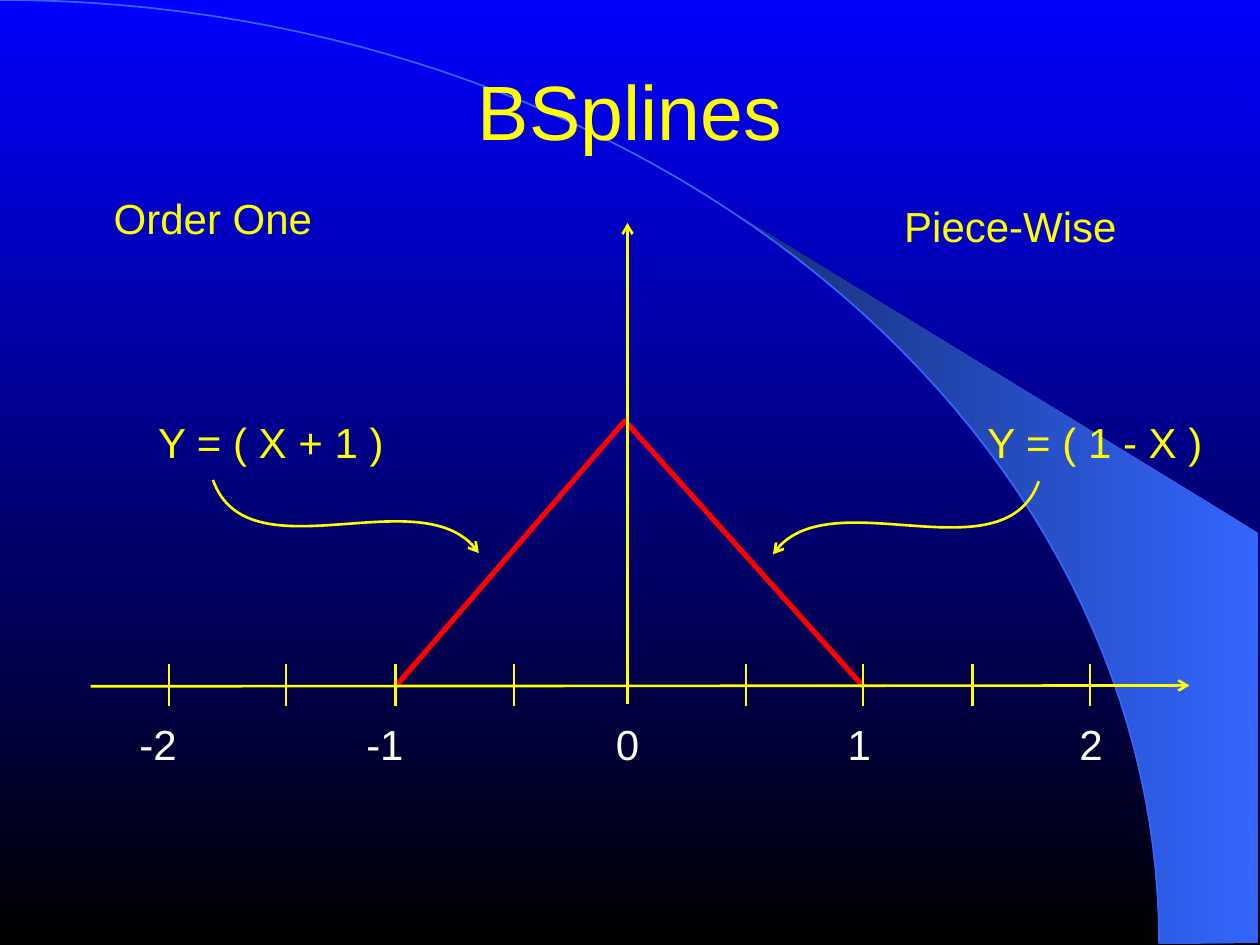
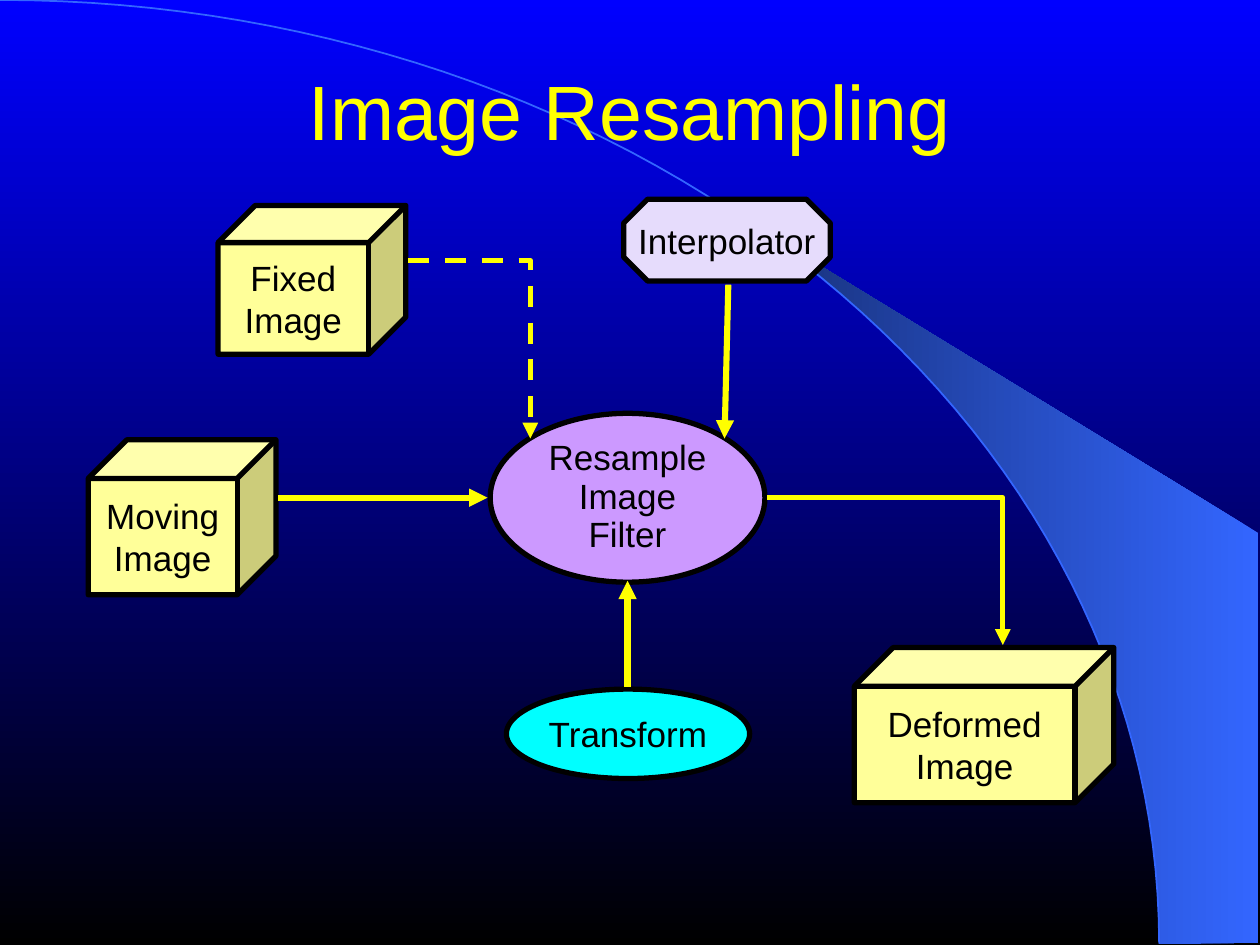
"""Build two slides on B-spline interpolation and image resampling."""
from math import cos, radians, sin

from lxml.etree import SubElement
from pptx import Presentation
from pptx.dml.color import RGBColor
from pptx.enum.dml import MSO_LINE
from pptx.enum.shapes import MSO_CONNECTOR, MSO_SHAPE
from pptx.enum.text import MSO_ANCHOR, PP_ALIGN
from pptx.oxml.ns import qn
from pptx.util import Pt

CENTER = PP_ALIGN.CENTER
TOP, MIDDLE = MSO_ANCHOR.TOP, MSO_ANCHOR.MIDDLE
STRAIGHT, ELBOW = MSO_CONNECTOR.STRAIGHT, MSO_CONNECTOR.ELBOW
CUBE, OVAL, OCTAGON = MSO_SHAPE.CUBE, MSO_SHAPE.OVAL, MSO_SHAPE.OCTAGON
DASH = MSO_LINE.DASH

FONT = "Arial"
TITLE_ONLY = 5
WIDTH, HEIGHT = 720, 540
COLORS = {
    "sky": "0000FF",
    "night": "000000",
    "arc": "3366FF",
    "band_dark": "172F75",
    "yellow": "FFFF00",
    "white": "FFFFFF",
    "black": "000000",
    "red": "FF0000",
    "image": "FFFF99",
    "transform": "00FFFF",
    "interpolator": "E6DCFC",
    "filter": "CC99FF",
}


def rgb(name):
    """Return the palette colour with this name."""
    return RGBColor.from_string(COLORS[name])


def set_gradient(fill, start, end, angle):
    """Apply a two-stop linear gradient."""
    fill.gradient()
    fill.gradient_angle = angle
    for stop, name in zip(fill.gradient_stops, (start, end)):
        stop.color.rgb = rgb(name)


def style_line(line, color, width):
    """Set the colour and width of a line."""
    line.color.rgb = rgb(color)
    line.width = Pt(width)


def add_arrowhead(shape, kind):
    """Put an arrowhead at the end of a line."""
    outline = shape.element.spPr.find(qn("a:ln"))
    SubElement(outline, qn("a:tailEnd"), type=kind)


def format_paragraph(paragraph, size, color):
    """Centre a paragraph and style its runs."""
    paragraph.alignment = CENTER
    for run in paragraph.runs:
        run.font.name = FONT
        run.font.size = Pt(size)
        run.font.color.rgb = rgb(color)


def add_path(slide, points, closed=False):
    """Draw an unfilled path through the points."""
    corners = [(Pt(x), Pt(y)) for x, y in points]
    builder = slide.shapes.build_freeform(*corners[0], scale=1.0)
    builder.add_line_segments(corners[1:], close=closed)
    shape = builder.convert_to_shape()
    shape.shadow.inherit = False
    shape.fill.background()
    return shape


def add_curved_arrow(slide, points):
    """Draw a Bezier arrow from a start, two controls and an end."""
    shape = add_path(slide, points)
    path = shape.element.find(".//" + qn("a:path"))
    segments = path.findall(qn("a:lnTo"))
    curve = SubElement(path, qn("a:cubicBezTo"))
    for segment in segments:
        curve.append(segment[0])
        path.remove(segment)
    style_line(shape.line, "yellow", 1.5)
    add_arrowhead(shape, "arrow")


def add_line(slide, start, end, width, arrowhead=None, kind=STRAIGHT, dash=None):
    """Draw a yellow connector."""
    connector = slide.shapes.add_connector(kind, *map(Pt, start + end))
    style_line(connector.line, "yellow", width)
    if dash:
        connector.line.dash_style = dash
    if kind == ELBOW:
        connector.element.spPr.prstGeom.set("prst", "bentConnector2")
    if arrowhead:
        add_arrowhead(connector, arrowhead)
    SubElement(connector.element.spPr, qn("a:effectLst"))


def add_label(slide, text, center, top, color="yellow", width=161.3):
    """Add a one-line label centred on a horizontal position."""
    box = slide.shapes.add_textbox(
        Pt(center - width / 2), Pt(top), Pt(width), Pt(30.2))
    frame = box.text_frame
    frame.word_wrap = True
    frame.text = text
    paragraph = frame.paragraphs[0]
    paragraph.line_spacing = 0.8
    paragraph.space_before = Pt(15)
    format_paragraph(paragraph, 24, color)


def add_node(slide, kind, bounds, text, fill, adjustment=None):
    """Add an outlined diagram node with centred text."""
    shape = slide.shapes.add_shape(kind, *map(Pt, bounds))
    shape.shadow.inherit = False
    shape.fill.solid()
    shape.fill.fore_color.rgb = rgb(fill)
    style_line(shape.line, "black", 3)
    if adjustment is not None:
        shape.adjustments[0] = adjustment
    frame = shape.text_frame
    frame.word_wrap = False
    frame.vertical_anchor = MIDDLE
    frame.paragraphs[0].text = text
    format_paragraph(frame.paragraphs[0], 20, "black")
    return shape


def add_filter_node(slide, bounds, text):
    """Add the filter ellipse with tightly set paragraphs."""
    frame = add_node(slide, OVAL, bounds, "", "filter").text_frame
    frame.word_wrap = True
    frame.vertical_anchor = TOP
    frame.margin_top = Pt(10.8)
    frame.text = text
    for paragraph in frame.paragraphs:
        paragraph.line_spacing = 0.4
        paragraph.space_before = Pt(12.5)
        format_paragraph(paragraph, 20, "black")


def add_titled_slide(presentation, title):
    """Add a slide with the shared title style."""
    slide = presentation.slides.add_slide(presentation.slide_layouts[TITLE_ONLY])
    placeholder = slide.shapes.title
    placeholder.left, placeholder.top = Pt(54), Pt(8.6)
    placeholder.width, placeholder.height = Pt(612), Pt(108.7)
    frame = placeholder.text_frame
    frame.text = title
    frame.vertical_anchor = MIDDLE
    frame.margin_left = frame.margin_right = 0
    frame.margin_top = frame.margin_bottom = 0
    format_paragraph(frame.paragraphs[0], 44, "yellow")
    return slide


def decorate_master(presentation, slide):
    """Give the master its gradient, its band and its arc."""
    master = presentation.slide_master
    set_gradient(master.background.fill, "sky", "night", 270)
    radius_x, radius_y = 662.4, 539.2
    arc_points = [
        (radius_x * cos(radians(step * 1.5)),
         radius_y * (1 - sin(radians(step * 1.5))))
        for step in range(61)
    ]
    tip = (424.1, 124.6)
    band = add_path(
        slide, arc_points[:34] + [tip, (719, 304.6), (719, 538.8)], closed=True)
    set_gradient(band.fill, "arc", "band_dark", 180)
    band.line.fill.background()
    arc = add_path(slide, arc_points)
    style_line(arc.line, "arc", 1)
    for number, shape in enumerate((band, arc), start=101):
        shape.element.nvSpPr.cNvPr.set("id", str(number))
        master.shapes.element.append(shape.element)


def fill_bsplines(slide):
    """Draw the order-one spline with its axes and equations."""
    origin, baseline = 358.6, 392.2
    hat = add_path(slide, [(226.1, baseline), (357.1, 240.5), (493.2, baseline)])
    style_line(hat.line, "red", 3)

    add_line(slide, (51.8, baseline), (679.7, 391.7), 1.5, "arrow")
    add_line(slide, (origin, 402.5), (origin, 127.4), 1.5, "arrow")
    for x in (96.5, 163.4, 226.1, 293.8, 426.2, 493.2, 555.8, 622.8):
        add_line(slide, (x, 403.2), (x, 379.4), 1.5)
    tick_labels = (("-2", 90.4), ("-1", 220), ("0", origin), ("1", 491), ("2", 623.5))
    for text, center in tick_labels:
        add_label(slide, text, center, 412.6, "white", 36)

    add_label(slide, "Order One", 121.7, 112.3)
    add_label(slide, "Piece-Wise", 577.4, 116.6)
    add_label(slide, "Y = ( X + 1 )", 154.8, 239.8)
    add_label(slide, "Y = ( 1 - X )", 625.7, 239.8)

    left_arrow = [(121.7, 274.3), (141.1, 329), (243.4, 271.4), (273.6, 316.1)]
    mirror_sum = 715.3
    add_curved_arrow(slide, left_arrow)
    add_curved_arrow(slide, [(mirror_sum - x, y + 0.7) for x, y in left_arrow])


def fill_resampling(slide):
    """Draw the resampling pipeline."""
    images = (
        ("Fixed\nImage", (124.6, 117.4, 107.3, 85)),
        ("Moving\nImage", (50.4, 251.3, 107.3, 88.6)),
        ("Deformed\nImage", (488.2, 370.1, 148.3, 88.6)),
    )
    for text, bounds in images:
        add_node(slide, CUBE, bounds, text, "image", 0.25)
    add_node(slide, OVAL, (289.4, 393.8, 139, 51.1), "Transform", "transform")
    add_node(slide, OCTAGON, (356.4, 113.8, 118.1, 46.8),
             "Interpolator", "interpolator", 0.293)
    add_filter_node(slide, (280.1, 236.2, 157, 96.5), "Resample\nImage\nFilter")

    for start, end in (
        ((358.6, 392.4), (358.6, 331.9)),
        ((416.2, 162.7), (414, 250.6)),
        ((159.1, 284.4), (278.6, 284.4)),
    ):
        add_line(slide, start, end, 3.5, "triangle")
    add_line(slide, (438.5, 284.4), (573.1, 368.6), 3, "triangle", ELBOW)
    add_line(slide, (233.3, 149), (303.1, 250.6), 3, "triangle", ELBOW, DASH)


def main():
    """Build and save the presentation."""
    presentation = Presentation()
    presentation.slide_width, presentation.slide_height = Pt(WIDTH), Pt(HEIGHT)
    bsplines = add_titled_slide(presentation, "BSplines")
    decorate_master(presentation, bsplines)
    fill_bsplines(bsplines)
    fill_resampling(add_titled_slide(presentation, "Image Resampling"))
    presentation.save("out.pptx")


if __name__ == "__main__":
    main()
